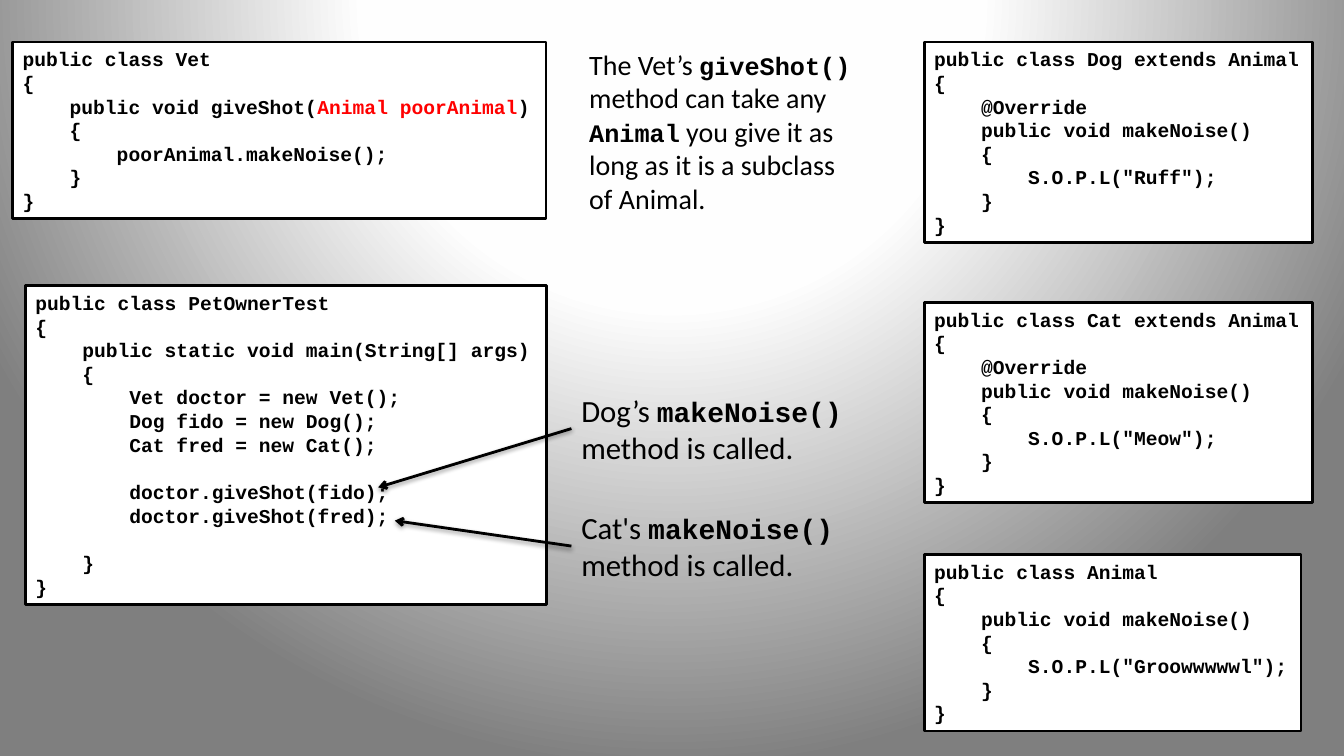
import pptx
import pptx.dml.color
import pptx.enum.shapes
import pptx.enum.text
import pptx.oxml
import pptx.oxml.ns
import pptx.util

Cm, Pt = pptx.util.Cm, pptx.util.Pt
RGB = pptx.dml.color.RGBColor
BLACK = RGB(0, 0, 0)
WHITE = RGB(255, 255, 255)
RED = RGB(255, 0, 0)
NS = pptx.oxml.ns.nsdecls("a", "p")

BACK = f"""<p:bg {NS}><p:bgPr><a:gradFill rotWithShape="1"><a:gsLst>
<a:gs pos="0"><a:srgbClr val="FFFFFF"/></a:gs>
<a:gs pos="40000"><a:srgbClr val="FEFEFE"/></a:gs>
<a:gs pos="100000"><a:srgbClr val="7F7F7F"/></a:gs></a:gsLst>
<a:path path="circle"><a:fillToRect l="50000" t="-80000" r="50000" b="180000"/></a:path>
</a:gradFill><a:effectLst/></p:bgPr></p:bg>"""
SHADE = f"""<a:effectLst {NS}><a:outerShdw blurRad="40000" dist="20000" dir="5400000"
rotWithShape="0"><a:srgbClr val="000000"><a:alpha val="38000"/></a:srgbClr>
</a:outerShdw></a:effectLst>"""
HEAD = f'<a:tailEnd {NS} type="arrow"/>'


class Page:
    mono, sans = "Courier New", "Calibri"
    size, pitch, edge = Pt(14), Pt(16.9), Pt(2)

    def __init__(self, deck):
        self.slide = deck.slides.add_slide(deck.slide_layouts[6])
        self.shapes = self.slide.shapes
        self.slide.element.cSld.insert(0, pptx.oxml.parse_xml(BACK))

    def frame(self, shape):
        frame = shape.text_frame
        frame.word_wrap = False
        frame.auto_size = pptx.enum.text.MSO_AUTO_SIZE.SHAPE_TO_FIT_TEXT
        frame.vertical_anchor = pptx.enum.text.MSO_ANCHOR.TOP
        return frame

    def para(self, frame, first, name, size, bold):
        para = frame.paragraphs[0] if first else frame.add_paragraph()
        para.alignment = pptx.enum.text.PP_ALIGN.LEFT
        font = para.font
        font.name, font.size, font.bold = name, size, bold
        font.color.rgb = BLACK
        return para

    def code(self, left, top, width, height, text):
        """Boxed listing; a part between bars is red."""
        box = self.shapes.add_shape(
            pptx.enum.shapes.MSO_SHAPE.RECTANGLE,
            Cm(left), Cm(top), Cm(width), Cm(height))
        box.shadow.inherit = False
        box.fill.solid()
        box.fill.fore_color.rgb = WHITE
        box.line.color.rgb = BLACK
        box.line.width = self.edge
        frame = self.frame(box)
        gap = False
        for i, line in enumerate(text.strip().split("\n")):
            if not line:
                gap = True
                continue
            para = self.para(frame, i == 0, self.mono, self.size, True)
            para.line_spacing = self.pitch
            if gap:
                para.space_before = self.pitch
            gap = False
            for j, part in enumerate(line.split("|")):
                run = para.add_run()
                run.text = part
                if j % 2:
                    run.font.color.rgb = RED

    def note(self, left, top, width, height, size, *texts):
        """Plain text; a part between stars is code."""
        box = self.shapes.add_textbox(Cm(left), Cm(top), Cm(width), Cm(height))
        frame = self.frame(box)
        for i, text in enumerate(texts):
            para = self.para(frame, i == 0, self.sans, Pt(size), False)
            for k, line in enumerate(text.split("\n")):
                if k:
                    para.add_line_break()
                for j, part in enumerate(line.split("*")):
                    if not part:
                        continue
                    run = para.add_run()
                    run.text = part
                    if j % 2:
                        run.font.name = self.mono
                        run.font.size = Pt(size - 2)
                        run.font.bold = True

    def arrow(self, x1, y1, x2, y2):
        line = self.shapes.add_connector(
            pptx.enum.shapes.MSO_CONNECTOR.STRAIGHT,
            Cm(x1), Cm(y1), Cm(x2), Cm(y2))
        line.line.color.rgb = BLACK
        line.line.width = self.edge
        line.line._get_or_add_ln().append(pptx.oxml.parse_xml(HEAD))
        line.element.spPr.append(pptx.oxml.parse_xml(SHADE))


def main():
    deck = pptx.Presentation()
    deck.slide_width, deck.slide_height = Cm(33.87), Cm(19.05)
    page = Page(deck)

    # Test program and vet class
    page.code(0.64, 7.2, 13.13, 8.03, """
public class PetOwnerTest
{
    public static void main(String[] args)
    {
        Vet doctor = new Vet();
        Dog fido = new Dog();
        Cat fred = new Cat();

        doctor.giveShot(fido);
        doctor.giveShot(fred);

    }
}""")
    page.code(0.32, 1.06, 13.44, 4.45, """
public class Vet
{
    public void giveShot(|Animal poorAnimal|)
    {
        poorAnimal.makeNoise();
    }
}""")

    # Explanations
    page.note(14.6, 1.06, 7.65, 4.52, 20,
              "The Vet’s *giveShot()* \nmethod can take any",
              "*Animal* you give it as \nlong as it is a subclass",
              "of Animal.")
    calls = ("Dog’s", 9.74, 7.42), ("Cat's", 12.7, 7.19)
    for who, top, width in calls:
        page.note(14.4, top, width, 2.13, 22,
                  f"{who} *makeNoise()* \nmethod is called.")

    # Arrows to the calls
    page.arrow(14.4, 10.8, 9.53, 12.28)
    page.arrow(14.4, 13.76, 9.95, 13.12)

    # Animal classes
    pets = ("Cat", "Meow", 7.62), ("Dog", "Ruff", 1.06)
    for name, noise, top in pets:
        page.code(23.29, top, 9.79, 5.05, f"""
public class {name} extends Animal
{{
    @Override
    public void makeNoise()
    {{
        S.O.P.L("{noise}");
    }}
}}""")
    page.code(23.29, 13.97, 9.5, 4.45, """
public class Animal
{
    public void makeNoise()
    {
        S.O.P.L("Groowwwwwl");
    }
}""")

    deck.save("out.pptx")


if __name__ == "__main__":
    main()
